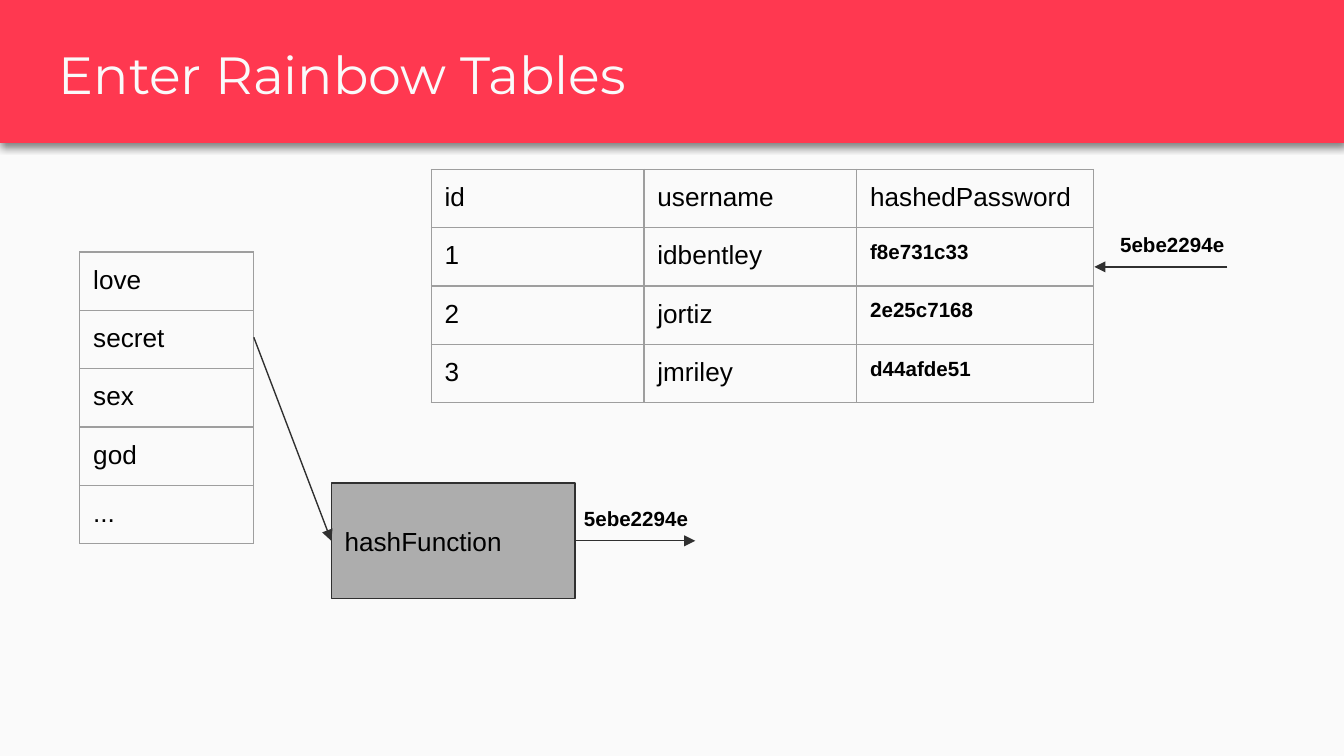
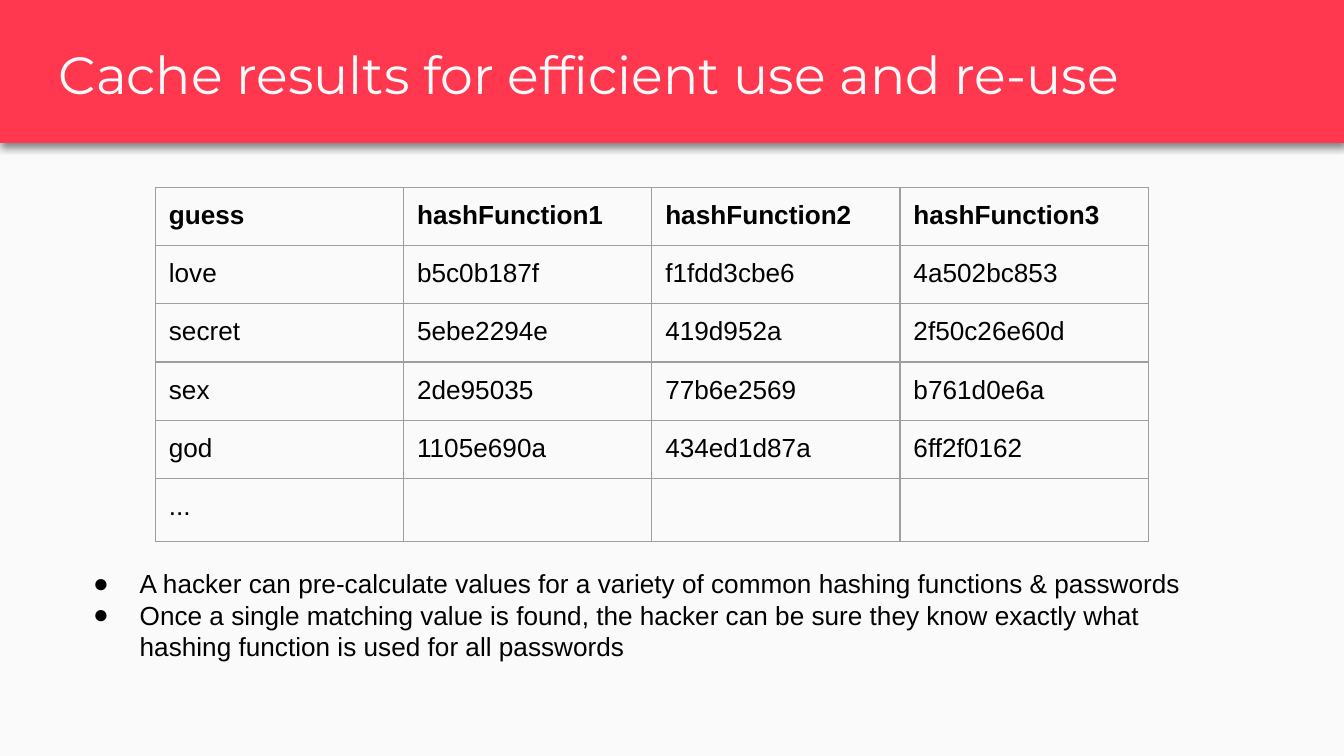
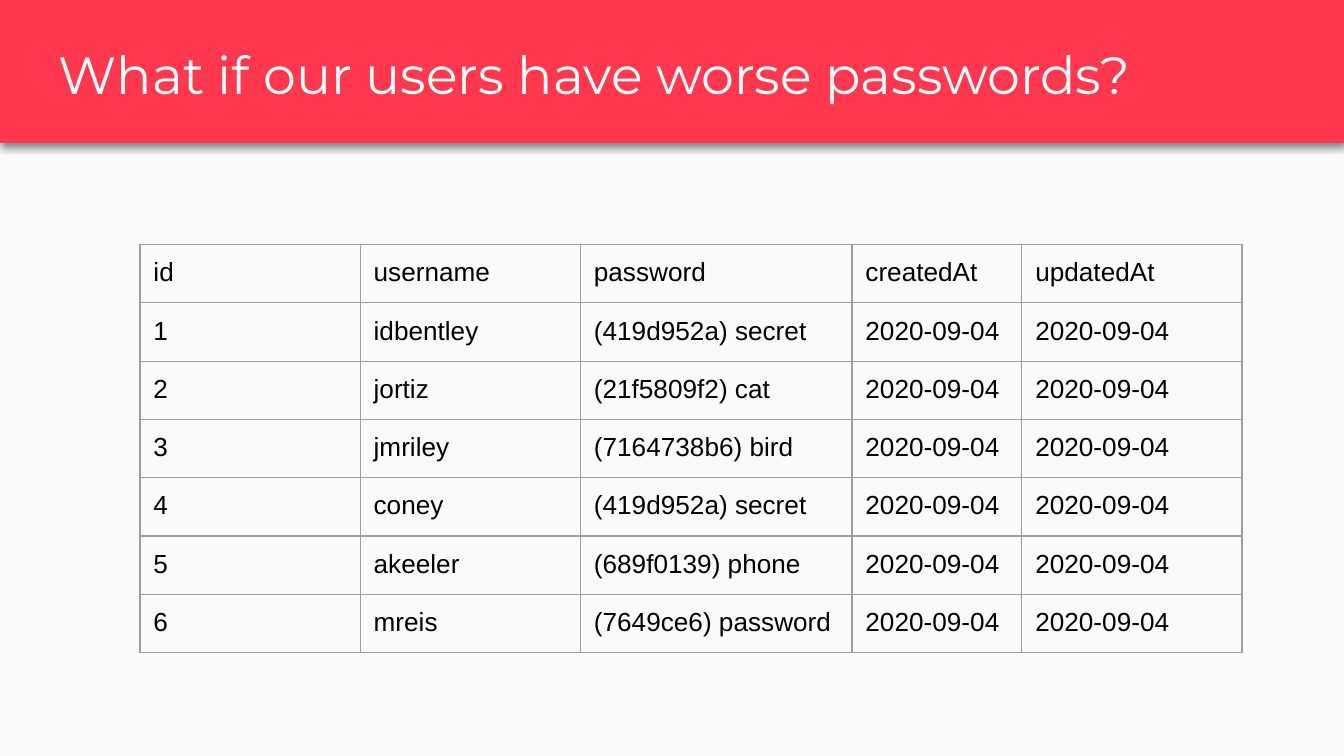
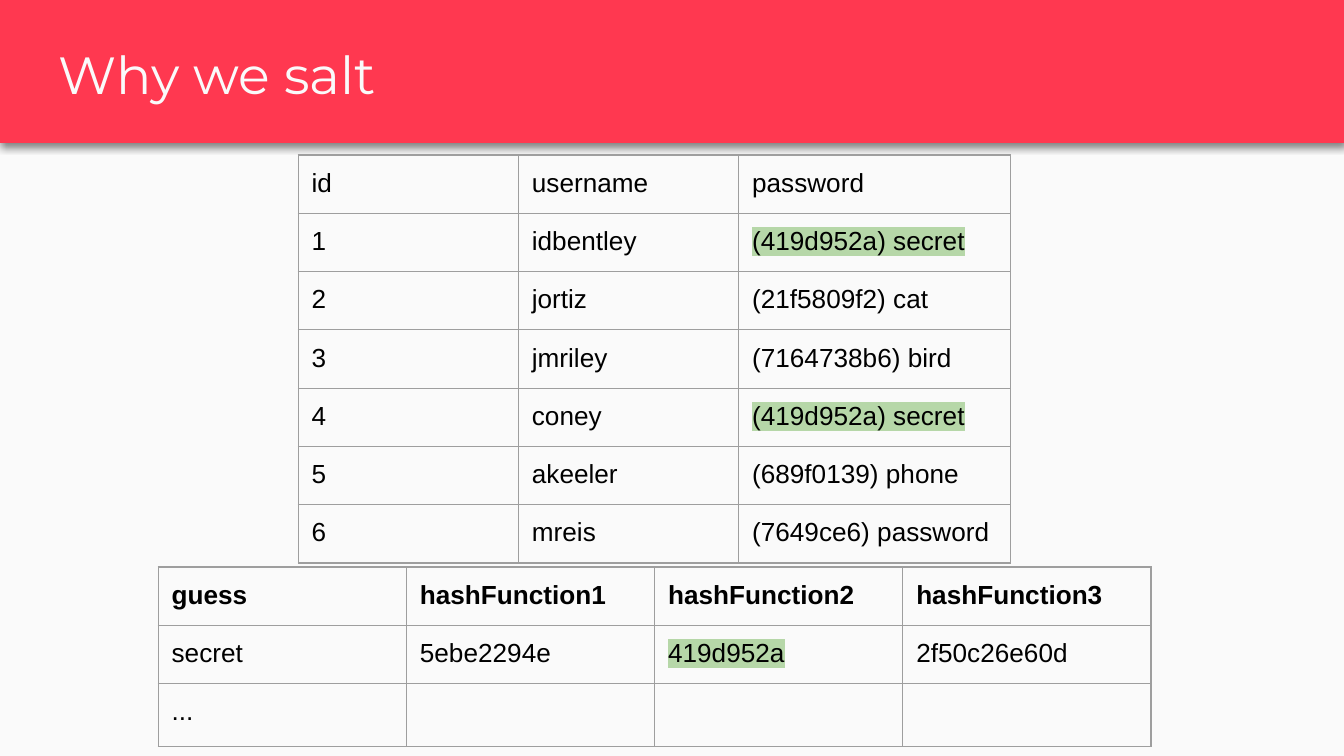
from dataclasses import dataclass

from lxml import etree
from pptx import Presentation
from pptx.dml.color import RGBColor as RGB
from pptx.enum.shapes import MSO_CONNECTOR as CONN, MSO_SHAPE as SHAPE
from pptx.enum.text import MSO_ANCHOR as ANCHOR, PP_ALIGN as ALIGN
from pptx.oxml.ns import qn
from pptx.util import Pt


@dataclass(frozen=True)
class Theme:
    """Colours, fonts and sizes shared by all slides."""
    paper: str = "FAFAFA"
    accent: str = "FF3850"
    ink: str = "000000"
    stroke: str = "303030"
    box: str = "ADADAD"
    grid: str = "9E9E9E"
    mark: str = "B6D7A8"
    head_font: str = "Montserrat"
    body_font: str = "Arial"
    title: int = 28
    body: int = 14
    small: int = 11
    empty: int = 16
    line: float = 0.75
    inset: float = 7.2
    row: int = 30
    width: int = 720
    height: int = 405
    band: float = 76.5


@dataclass(frozen=True)
class Span:
    """A piece of text with its own style."""
    text: str
    size: int = Theme.body
    bold: bool = False
    mark: str = ""
    color: str = Theme.ink
    font: str = Theme.body_font


T = Theme()
GUESS_HEAD = ["guess", "hashFunction1", "hashFunction2", "hashFunction3"]
GUESSES = [
    ["love", "b5c0b187f", "f1fdd3cbe6", "4a502bc853"],
    ["secret", "5ebe2294e", "419d952a", "2f50c26e60d"],
    ["sex", "2de95035", "77b6e2569", "b761d0e6a"],
    ["god", "1105e690a", "434ed1d87a", "6ff2f0162"],
]
MORE = ["...", "", "", ""]
GUESS_COLS = [133] * 4
USERS = [
    ["id", "username", "password"],
    ["1", "idbentley", "(419d952a) secret"],
    ["2", "jortiz", "(21f5809f2) cat"],
    ["3", "jmriley", "(7164738b6) bird"],
    ["4", "coney", "(419d952a) secret"],
    ["5", "akeeler", "(689f0139) phone"],
    ["6", "mreis", "(7649ce6) password"],
]
USER_COLS = [118, 118, 145.5]


def points(*values):
    """Turn numbers into lengths in points."""
    return [Pt(v) for v in values]


def strong(text, size=T.body):
    """Return a bold span."""
    return Span(text, size, bold=True)


def highlight(rows, needle):
    """Mark each cell whose text holds the needle."""
    return [[Span(c, mark=T.mark) if needle in c else c for c in row]
            for row in rows]


def add_run(p, item):
    """Add one styled run to a paragraph."""
    span = item if isinstance(item, Span) else Span(item)
    r = p.add_run()
    r.text = span.text
    f = r.font
    f.name, f.size, f.bold = span.font, Pt(span.size), span.bold
    f.color.rgb = RGB.from_string(span.color)
    if span.mark:
        hl = etree.Element(qn("a:highlight"))
        etree.SubElement(hl, qn("a:srgbClr"), val=span.mark)
        r._r.rPr.find(qn("a:solidFill")).addnext(hl)


def set_margins(obj):
    """Give a text frame or cell equal margins."""
    obj.margin_left = obj.margin_right = Pt(T.inset)
    obj.margin_top = obj.margin_bottom = Pt(T.inset)


def add_text(s, box, items, bullets=False):
    """Add a text box with one paragraph per item."""
    tf = s.shapes.add_textbox(*points(*box)).text_frame
    tf.word_wrap = True
    set_margins(tf)
    for i, item in enumerate(items):
        p = tf.add_paragraph() if i else tf.paragraphs[0]
        add_run(p, item)
        if bullets:
            add_bullet(p)


def add_bullet(p):
    """Give a paragraph a round bullet and hanging indent."""
    pPr = p._p.get_or_add_pPr()
    pPr.set("marL", str(Pt(36)))
    pPr.set("indent", str(Pt(-25)))
    clr = etree.SubElement(pPr, qn("a:buClr"))
    etree.SubElement(clr, qn("a:srgbClr"), val=T.ink)
    etree.SubElement(pPr, qn("a:buFont"), typeface=T.body_font)
    etree.SubElement(pPr, qn("a:buChar"), char="●")


def add_rect(s, box, fill, line):
    """Add a flat rectangle."""
    sp = s.shapes.add_shape(SHAPE.RECTANGLE, *points(*box))
    sp.shadow.inherit = False
    sp.fill.solid()
    sp.fill.fore_color.rgb = RGB.from_string(fill)
    sp.line.color.rgb = RGB.from_string(line)
    sp.line.width = Pt(T.line)
    return sp


def add_labelled_box(s, box, text):
    """Add a grey box with left-aligned text."""
    tf = add_rect(s, box, T.box, T.stroke).text_frame
    tf.word_wrap = True
    tf.vertical_anchor = ANCHOR.MIDDLE
    set_margins(tf)
    p = tf.paragraphs[0]
    p.alignment = ALIGN.LEFT
    add_run(p, text)


def add_arrow(s, start, end):
    """Add a straight arrow from start to end."""
    cx = s.shapes.add_connector(CONN.STRAIGHT, *points(*start, *end))
    cx.line.color.rgb = RGB.from_string(T.stroke)
    cx.line.width = Pt(T.line)
    etree.SubElement(cx.line._get_or_add_ln(), qn("a:tailEnd"),
                     type="triangle", w="med", len="med")
    etree.SubElement(cx._element.spPr, qn("a:effectLst"))


def add_borders(cell):
    """Draw thin lines on the four sides of a cell."""
    tcPr = cell._tc.get_or_add_tcPr()
    for side in ("lnL", "lnR", "lnT", "lnB"):
        ln = etree.SubElement(tcPr, qn(f"a:{side}"), w=str(Pt(T.line)))
        fill = etree.SubElement(ln, qn("a:solidFill"))
        etree.SubElement(fill, qn("a:srgbClr"), val=T.grid)


def add_grid(s, left, top, cols, rows):
    """Add a plain ruled table."""
    frame = s.shapes.add_table(len(rows), len(cols), *points(
        left, top, sum(cols), T.row * len(rows)))
    tbl = frame.table
    tbl.first_row = tbl.horz_banding = False
    for col, width in zip(tbl.columns, cols):
        col.width = Pt(width)
    for row, items in zip(tbl.rows, rows):
        row.height = Pt(T.row)
        for cell, item in zip(row.cells, items):
            add_borders(cell)
            cell.fill.background()
            set_margins(cell)
            p = cell.text_frame.paragraphs[0]
            if item:
                add_run(p, item)
            else:
                etree.SubElement(p._p, qn("a:endParaRPr"),
                                 sz=str(T.empty * 100))


def add_band(s):
    """Add the header band with its soft shadow."""
    sp = add_rect(s, (0, 0, T.width, T.band), T.accent, T.accent)
    effects = sp._element.spPr.find(qn("a:effectLst"))
    shadow = etree.SubElement(effects, qn("a:outerShdw"), algn="bl",
                              blurRad=str(Pt(4.5)), dist=str(Pt(1.5)),
                              dir="5400000", rotWithShape="0")
    clr = etree.SubElement(shadow, qn("a:srgbClr"), val="000000")
    etree.SubElement(clr, qn("a:alpha"), val="50000")


def add_slide(prs, title):
    """Add a slide with the header band and title."""
    s = prs.slides.add_slide(prs.slide_layouts[6])
    add_band(s)
    add_text(s, (24.5, 15.25, 671, 45),
             [Span(title, T.title, color=T.paper, font=T.head_font)])
    return s


def rainbow_slide(prs):
    """Show one guess hashed and matched against stored hashes."""
    s = add_slide(prs, "Enter Rainbow Tables")
    words = [row[:1] for row in GUESSES + [MORE]]
    add_grid(s, 42.75, 135, [93], words)
    add_labelled_box(s, (177.5, 258.75, 130.5, 62), "hashFunction")
    hashes = ["f8e731c33", "2e25c7168", "d44afde51"]
    stored = [["id", "username", "hashedPassword"]]
    stored += [user[:2] + [strong(h, T.small)]
               for user, h in zip(USERS[1:], hashes)]
    add_grid(s, 231, 90.75, [114, 114, 127], stored)
    add_arrow(s, (136, 180.75), (177.5, 289.75))
    add_arrow(s, (308, 289.75), (372.5, 289.75))
    add_arrow(s, (657.5, 143), (586.25, 143))
    for left, top in ((305.75, 264.25), (593, 117.5)):
        add_text(s, (left, top, 78, 25), [strong("5ebe2294e", T.small)])


def cache_slide(prs):
    """Show the table of precomputed hashes."""
    s = add_slide(prs, "Cache results for efficient use and re-use")
    head = [strong(h) for h in GUESS_HEAD]
    add_grid(s, 83.25, 100.25, GUESS_COLS, [head, *GUESSES, MORE])
    add_text(s, (31.75, 297, 608.5, 94), [
        "A hacker can pre-calculate values for a variety of common "
        "hashing functions & passwords",
        "Once a single matching value is found, the hacker can be sure "
        "they know exactly what hashing function is used for all passwords",
    ], bullets=True)


def users_slide(prs):
    """Show the users with weak passwords."""
    s = add_slide(prs, "What if our users have worse passwords?")
    dates = [["createdAt", "updatedAt"]] + [["2020-09-04"] * 2] * 6
    add_grid(s, 75, 131, USER_COLS + [91, 118],
             [user + date for user, date in zip(USERS, dates)])


def salt_slide(prs):
    """Show equal hashes revealing equal passwords."""
    s = add_slide(prs, "Why we salt")
    needle = "419d952a"
    add_grid(s, 159.75, 83, USER_COLS, highlight(USERS, needle))
    head = [strong(h) for h in GUESS_HEAD]
    add_grid(s, 84.75, 303.75, GUESS_COLS,
             [head, *highlight([GUESSES[1], MORE], needle)])


def main():
    """Build and save the slides."""
    prs = Presentation()
    prs.slide_width, prs.slide_height = points(T.width, T.height)
    fill = prs.slide_master.background.fill
    fill.solid()
    fill.fore_color.rgb = RGB.from_string(T.paper)
    for build in (rainbow_slide, cache_slide, users_slide, salt_slide):
        build(prs)
    prs.save("out.pptx")


if __name__ == "__main__":
    main()
